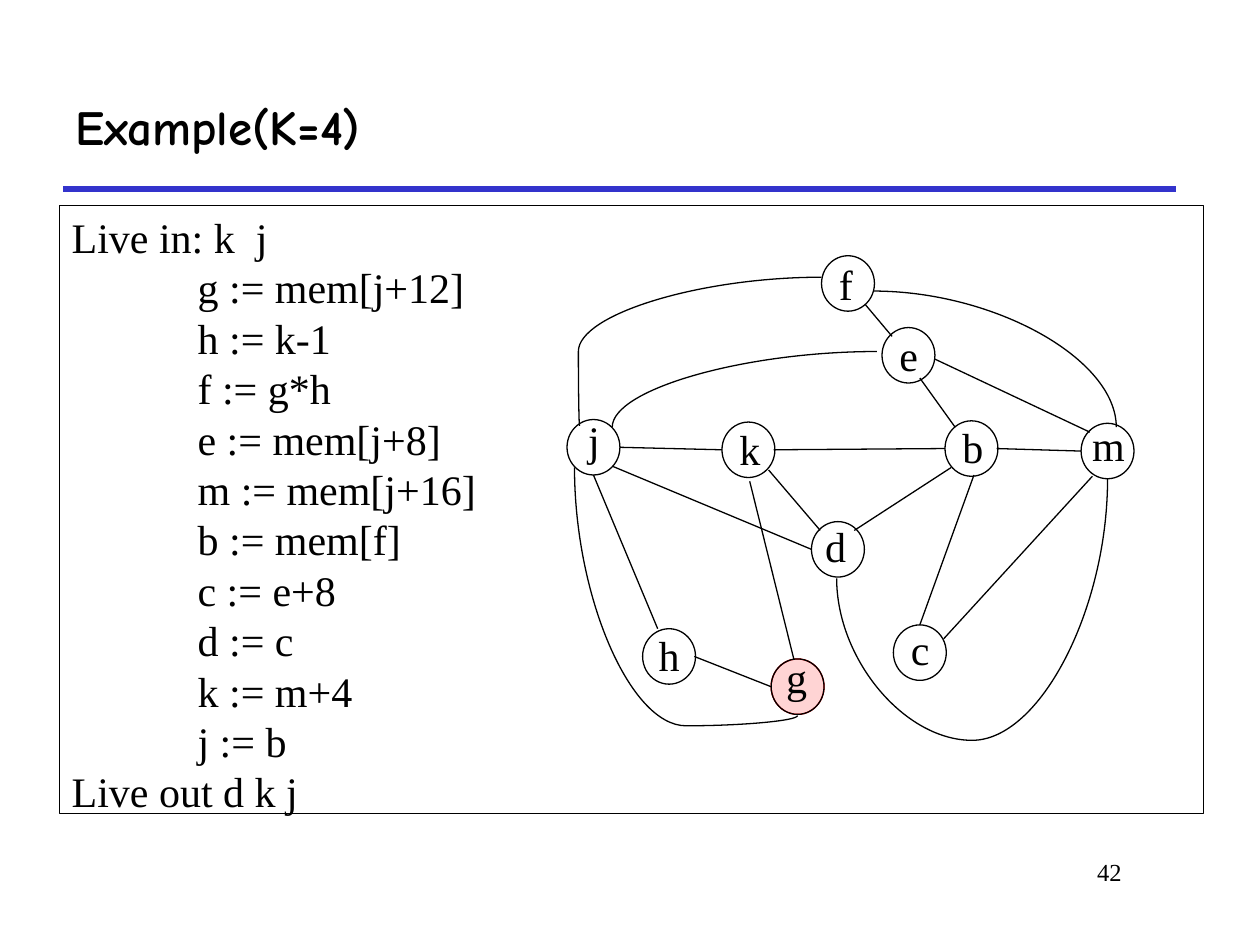
"""Build the K=4 register interference graph slide."""
from dataclasses import dataclass
from lxml.etree import SubElement
from pptx import Presentation
from pptx.dml.color import RGBColor
from pptx.enum.shapes import MSO_CONNECTOR, MSO_SHAPE
from pptx.enum.text import MSO_ANCHOR, PP_ALIGN
from pptx.oxml.ns import qn
from pptx.util import Inches, Pt


@dataclass(frozen=True)
class Theme:
    ink = RGBColor(0, 0, 0)
    rule = RGBColor(0x33, 0x33, 0xCC)
    mark = RGBColor(0xFF, 0, 0)
    serif = "Times New Roman"
    comic = "Comic Neue"
    head = Pt(28)
    body = Pt(24)
    foot = Pt(14)
    thin = Pt(0.75)
    thick = Pt(3)


def write(x, y, w, h, lines, size, face=Theme.serif, wrap=True):
    box = slide.shapes.add_textbox(Inches(x), Inches(y), Inches(w), Inches(h))
    frame = box.text_frame
    frame.word_wrap = wrap
    frame.text = "\n".join(lines)
    for para in frame.paragraphs:
        if para.text.startswith("\t"):
            stops = SubElement(para._p.get_or_add_pPr(), qn("a:tabLst"))
            SubElement(stops, qn("a:tab"), pos=str(Inches(1)), algn="l")
        para.font.size = size
        para.font.name = face
        para.font.color.rgb = Theme.ink
    return box


def link(kind, ends, color=Theme.ink, width=Theme.thin):
    line = slide.shapes.add_connector(kind, *[Inches(v) for v in ends])
    line.line.color.rgb = color
    line.line.width = width
    SubElement(line._element.spPr, qn("a:effectLst"))
    return line


deck = Presentation()
deck.slide_width, deck.slide_height = Inches(10), Inches(7.5)
slide = deck.slides.add_slide(deck.slide_layouts[6])

link(MSO_CONNECTOR.STRAIGHT, (0.5, 1.5, 9.33, 1.5), Theme.rule, Theme.thick)

code = ["g := mem[j+12]", "h := k-1", "f := g*h", "e := mem[j+8]",
        "m := mem[j+16]", "b := mem[f]", "c := e+8", "d := c", "k := m+4",
        "j := b"]
lines = ["Live in: k  j", *["\t" + row for row in code], "Live out d k j"]
panel = write(0.47, 1.63, 9.08, 4.83, lines, Theme.body)
panel.line.color.rgb = Theme.ink
panel.line.width = Theme.thin

page = write(6.92, 6.75, 2.08, 0.5, ["42"], Theme.foot)
page.text_frame.paragraphs[0].alignment = PP_ALIGN.RIGHT

title = write(0.5, 0.5, 8.83, 1, ["Example(K=4)"], Theme.head, Theme.comic)
title.text_frame.vertical_anchor = MSO_ANCHOR.MIDDLE
title.text_frame.paragraphs[0].font.bold = True

nodes = [
    ("", 6.12, 5.23, 0, 0, 0),
    ("f", 6.52, 2.03, 6.56, 2, 0.31),
    ("e", 7, 2.6, 7.04, 2.57, 0.35),
    ("b", 7.5, 3.34, 7.54, 3.3, 0.37),
    ("m", 8.58, 3.36, 8.57, 3.28, 0.46),
    ("k", 5.73, 3.35, 5.77, 3.31, 0.37),
    ("g", 6.12, 5.23, 6.14, 5.12, 0.37),
    ("h", 5.1, 4.99, 5.13, 4.95, 0.37),
    ("j", 4.5, 3.33, 4.57, 3.24, 0.29),
    ("c", 7.09, 4.96, 7.13, 4.9, 0.35),
    ("d", 6.44, 4.14, 6.45, 4.08, 0.37),
]
for name, x, y, left, top, wide in nodes:
    ring = slide.shapes.add_shape(
        MSO_SHAPE.OVAL, Inches(x), Inches(y), Inches(0.42), Inches(0.44))
    ring.shadow.inherit = False
    ring.line.width = Theme.thin
    if name:
        ring.fill.background()
        ring.line.color.rgb = Theme.ink
        write(left, top, wide, 0.5, [name], Theme.body, wrap=False)
    else:
        ring.fill.solid()
        ring.fill.fore_color.rgb = Theme.mark
        ring.line.color.rgb = Theme.mark
        tint = ring._element.spPr.find(qn("a:solidFill"))[0]
        SubElement(tint, qn("a:alpha"), val="17000")

edges = [
    (6.87, 2.42, 7.08, 2.67), (7.3, 3, 7.58, 3.39),
    (7.42, 2.85, 8.65, 3.43), (7.91, 3.56, 8.58, 3.58),
    (4.92, 3.55, 5.73, 3.57), (6.14, 3.57, 7.5, 3.56),
    (6.1, 3.73, 6.51, 4.21), (5.95, 3.82, 6.3, 5.23),
    (4.71, 3.77, 5.22, 4.99), (6.78, 4.21, 7.55, 3.71),
    (7.73, 3.77, 7.3, 4.96), (7.49, 5.07, 8.67, 3.78),
    (4.86, 3.7, 6.44, 4.36), (5.51, 5.21, 6.12, 5.45),
]
for ends in edges:
    link(MSO_CONNECTOR.STRAIGHT, ends)

arcs = [
    ((6.93, 2.31, 8.86, 3.39), 0, None),
    ((6.96, 2.79, 4.86, 3.39), 0, None),
    ((6.52, 2.2, 4.6, 3.38), 0, 100500),
    ((6.43, 3.81, 4.46, 5.58), 270, 104100),
    ((7.32, 3.12, 8.11, 5.27), 90, 262700),
]
for ends, turn, bend in arcs:
    props = link(MSO_CONNECTOR.CURVE, ends)._element.spPr
    props.find(qn("a:xfrm")).set("rot", str(turn * 60000))
    shape = props.find(qn("a:prstGeom"))
    if bend is None:
        shape.set("prst", "curvedConnector2")
    else:
        guides = shape.find(qn("a:avLst"))
        SubElement(guides, qn("a:gd"), name="adj1", fmla=f"val {bend}")

deck.save("out.pptx")
